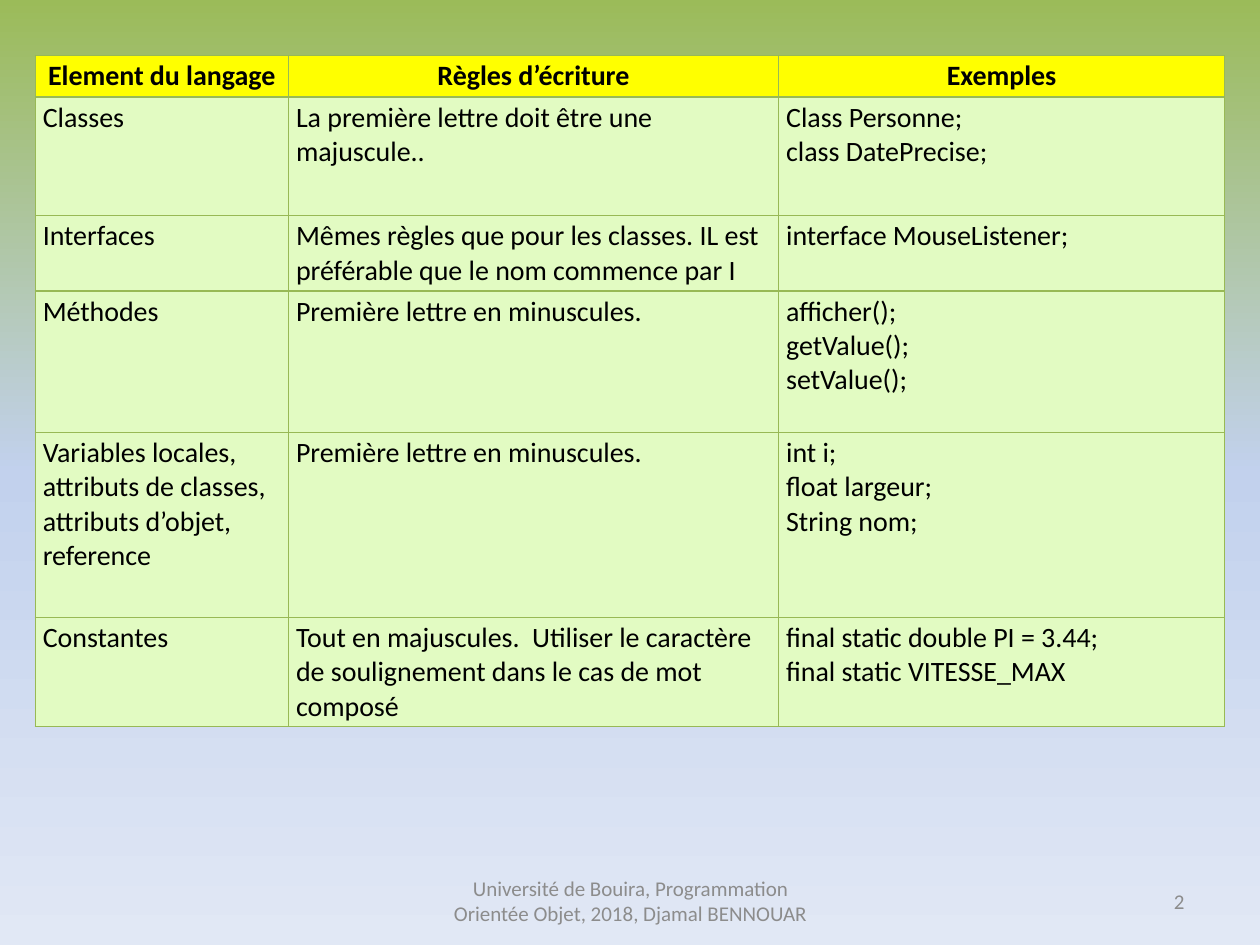
from copy import deepcopy
from dataclasses import dataclass

from lxml.etree import SubElement
from pptx import Presentation
from pptx.dml.color import RGBColor
from pptx.enum.text import MSO_ANCHOR as Anchor, PP_ALIGN as Align
from pptx.oxml.ns import qn
from pptx.util import Inches, Pt


@dataclass(frozen=True)
class Theme:
    font: str = "Calibri"
    text: str = "000000"
    muted: str = "8C8C8C"
    header_fill: str = "FFFF00"
    body_fill: str = "E2FBC2"
    border: str = "98B955"
    background: tuple = ((0, "9BBB59"), (0.5, "C2D1ED"), (1, "E1E8F5"))
    table_size: int = 16
    footer_size: int = 12
    border_width: float = 0.75


def rgb(value):
    return RGBColor.from_string(value)


def write_text(tf, text, *, font, size, color, bold=False, align=Align.LEFT):
    """Fill a text frame, one paragraph for each line of text."""
    for i, line in enumerate(text.split("\n")):
        p = tf.add_paragraph() if i else tf.paragraphs[0]
        p.alignment = align
        r = p.add_run()
        r.text = line
        r.font.name = font
        r.font.size = Pt(size)
        r.font.bold = bold
        r.font.color.rgb = rgb(color)


class SlideBuilder:
    """Holds the theme and the slide being built."""

    def __init__(self, slide, theme):
        self.slide = slide
        self.theme = theme

    def background(self):
        fill = self.slide.background.fill
        fill.gradient()
        fill.gradient_angle = 270
        stops = self.slide.element.find(".//" + qn("a:gsLst"))
        stops.insert(1, deepcopy(stops[0]))
        for stop, (position, color) in zip(fill.gradient_stops, self.theme.background):
            stop.position = position
            stop.color.rgb = rgb(color)

    def footer(self, text, left, width, align):
        sp = self.slide.shapes.add_textbox(
            Inches(left), Inches(6.95), Inches(width), Inches(0.4))
        tf = sp.text_frame
        tf.word_wrap = True
        tf.vertical_anchor = Anchor.MIDDLE
        write_text(tf, text, font=self.theme.font, size=self.theme.footer_size,
                   color=self.theme.muted, align=align)

    def table(self, rows, left, top, widths, heights):
        """Add a table whose first row is the header."""
        frame = self.slide.shapes.add_table(
            len(rows), len(widths), Inches(left), Inches(top),
            Inches(sum(widths)), Inches(sum(heights)))
        table = frame.table
        table.horz_banding = False
        for column, width in zip(table.columns, widths):
            column.width = Inches(width)
        for i, (row, height) in enumerate(zip(rows, heights)):
            table.rows[i].height = Inches(height)
            for j, text in enumerate(row):
                self.cell(table.cell(i, j), text, header=i == 0)

    def cell(self, cell, text, header):
        theme = self.theme
        cell.margin_left = cell.margin_right = Inches(0.06)
        cell.margin_top = cell.margin_bottom = Inches(0.03)
        self.borders(cell)
        cell.fill.solid()
        cell.fill.fore_color.rgb = rgb(theme.header_fill if header else theme.body_fill)
        write_text(cell.text_frame, text, font=theme.font, size=theme.table_size,
                   color=theme.text, bold=header,
                   align=Align.CENTER if header else Align.LEFT)

    def borders(self, cell):
        tc_pr = cell._tc.get_or_add_tcPr()
        for side in ("a:lnL", "a:lnR", "a:lnT", "a:lnB"):
            line = SubElement(tc_pr, qn(side), w=str(Pt(self.theme.border_width)))
            fill = SubElement(line, qn("a:solidFill"))
            SubElement(fill, qn("a:srgbClr"), val=self.theme.border)


NAMING_RULES = [
    ("Element du langage", "Règles d’écriture", "Exemples"),
    ("Classes", "La première lettre doit être une majuscule..",
     "Class Personne;\nclass DatePrecise;"),
    ("Interfaces",
     "Mêmes règles que pour les classes. IL est préférable que le nom commence par I",
     "interface MouseListener;"),
    ("Méthodes", "Première lettre en minuscules.",
     "afficher();\ngetValue();\nsetValue();"),
    ("Variables locales, attributs de classes, attributs d’objet, reference",
     "Première lettre en minuscules.",
     "int i;\nfloat largeur;\nString nom;"),
    ("Constantes",
     "Tout en majuscules.  Utiliser le caractère de soulignement dans le cas de mot composé",
     "final static double PI = 3.44;\nfinal static VITESSE_MAX"),
]


def main():
    prs = Presentation()
    prs.slide_width, prs.slide_height = Inches(10), Inches(7.5)
    blank = prs.slide_layouts[6]
    builder = SlideBuilder(prs.slides.add_slide(blank), Theme())
    builder.background()
    builder.footer("Université de Bouira, Programmation Orientée Objet, 2018, Djamal BENNOUAR",
                   3.42, 3.17, Align.CENTER)
    builder.footer("2", 7.17, 2.33, Align.RIGHT)
    builder.table(NAMING_RULES, 0.28, 0.44, widths=(2.01, 3.89, 3.54),
                  heights=(0.33, 0.94, 0.6, 1.12, 1.47, 0.87))
    prs.save("out.pptx")


if __name__ == "__main__":
    main()
